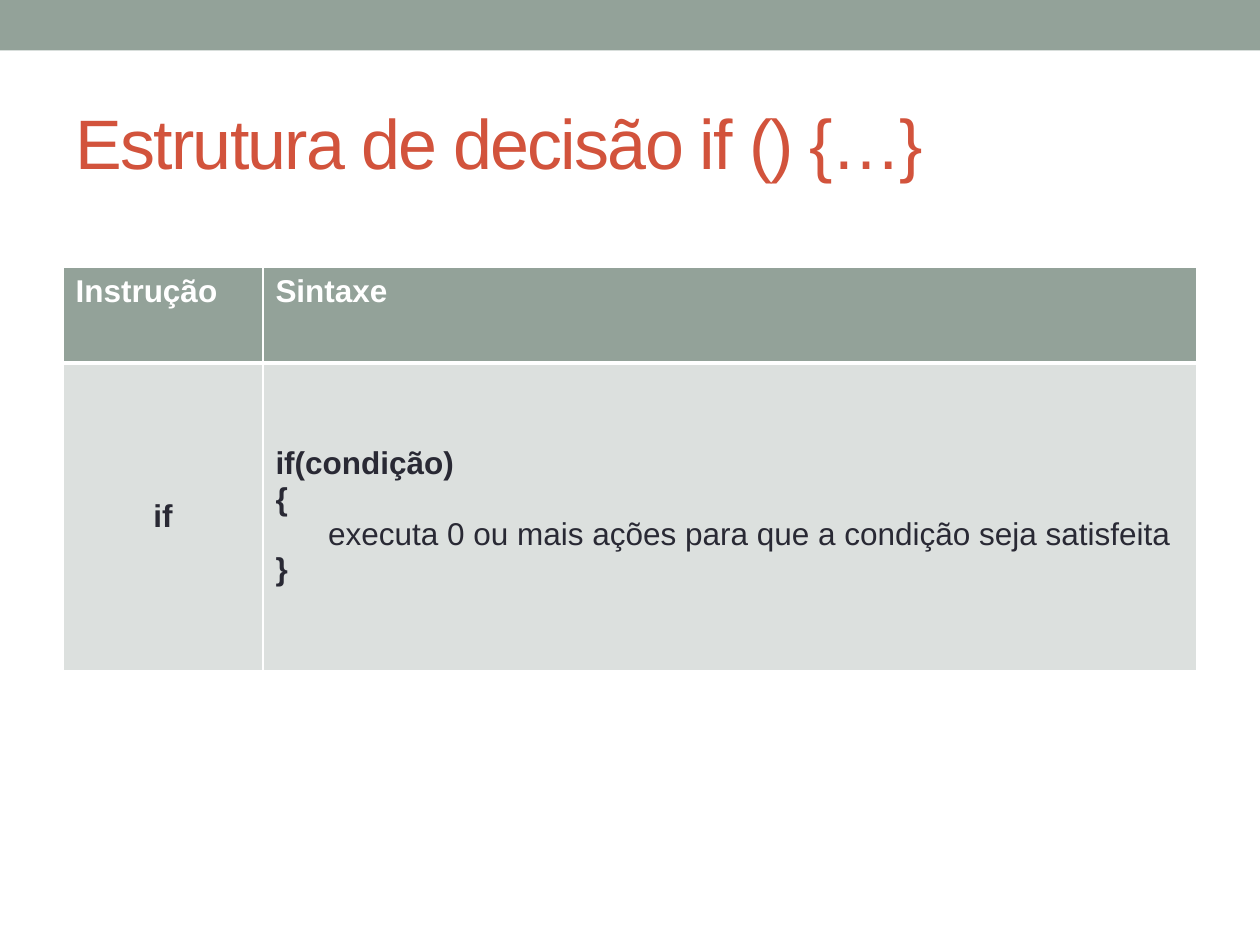
"""Builds the slide on the if decision structure."""
from lxml import etree
from pptx import Presentation
from pptx.dml.color import RGBColor
from pptx.enum.shapes import MSO_SHAPE
from pptx.enum.text import MSO_ANCHOR, PP_ALIGN
from pptx.oxml.ns import qn
from pptx.util import Cm, Pt

RECTANGLE = MSO_SHAPE.RECTANGLE
LEFT, CENTER = PP_ALIGN.LEFT, PP_ALIGN.CENTER
TOP, MIDDLE = MSO_ANCHOR.TOP, MSO_ANCHOR.MIDDLE

WHITE = RGBColor(0xFF, 0xFF, 0xFF)
SAGE = RGBColor(0x93, 0xA2, 0x99)
PALE_SAGE = RGBColor(0xDC, 0xE0, 0xDE)
RUST = RGBColor(0xD2, 0x53, 0x3C)
INK = RGBColor(0x29, 0x29, 0x34)


def write(paragraph, text, size=18, color=INK, bold=True, align=LEFT, spacing=0, indent=0):
    paragraph.alignment = align
    if indent:
        properties = paragraph._p.get_or_add_pPr()
        properties.set("marL", str(Cm(indent)))
        properties.set("indent", "0")
    run = paragraph.add_run()
    run.text = text
    run.font.name = "Arial"
    run.font.size = Pt(size)
    run.font.bold = bold
    run.font.color.rgb = color
    if spacing:
        run._r.get_or_add_rPr().set("spc", str(spacing * 100))


class SlideBuilder:
    def __init__(self, slide):
        self.slide = slide

    def band(self, left, top, width, height):
        band = self.slide.shapes.add_shape(RECTANGLE, Cm(left), Cm(top), Cm(width), Cm(height))
        band.shadow.inherit = False
        band.fill.solid()
        band.fill.fore_color.rgb = SAGE
        band.line.fill.background()

    def title(self, text, left, top, width, height):
        title = self.slide.shapes.title
        title.left, title.top, title.width, title.height = map(Cm, (left, top, width, height))
        title.text_frame.vertical_anchor = MIDDLE
        write(title.text_frame.paragraphs[0], text, size=40, color=RUST, bold=False, spacing=-1)

    def table(self, left, top, widths, heights):
        table = self.slide.shapes.add_table(
            len(heights), len(widths), Cm(left), Cm(top), Cm(sum(widths)), Cm(sum(heights))
        ).table
        table.horz_banding = False
        for column, width in zip(table.columns, widths):
            column.width = Cm(width)
        for row, height in zip(table.rows, heights):
            row.height = Cm(height)
        return table

    def cell(self, cell, lines, fill, anchor=TOP, top_border=1, bottom_border=1, **style):
        self.borders(cell, L=1, R=1, T=top_border, B=bottom_border)
        cell.fill.solid()
        cell.fill.fore_color.rgb = fill
        cell.vertical_anchor = anchor
        frame = cell.text_frame
        for number, (text, line_style) in enumerate(lines):
            paragraph = frame.add_paragraph() if number else frame.paragraphs[0]
            write(paragraph, text, **{**style, **line_style})

    def borders(self, cell, **widths):
        properties = cell._tc.get_or_add_tcPr()
        for side, width in widths.items():
            line = etree.SubElement(properties, qn(f"a:ln{side}"), w=str(Pt(width)))
            solid = etree.SubElement(line, qn("a:solidFill"))
            etree.SubElement(solid, qn("a:srgbClr"), val=str(WHITE))


def main():
    presentation = Presentation()
    presentation.slide_width, presentation.slide_height = Cm(25.4), Cm(19.05)
    builder = SlideBuilder(presentation.slides.add_slide(presentation.slide_layouts[5]))

    builder.band(0, 0, 25.4, 1.02)
    builder.title("Estrutura de decisão if () {…}", 1.27, 1.48, 22.86, 2.74)

    syntax = builder.table(1.27, 5.39, widths=(4.03, 18.83), heights=(1.93, 6.2))
    for column, heading in enumerate(("Instrução", "Sintaxe")):
        builder.cell(syntax.cell(0, column), [(heading, {})], SAGE, bottom_border=3, color=WHITE)

    if_syntax = [
        ("if(condição)", {}),
        ("{", {}),
        ("executa 0 ou mais ações para que a condição seja satisfeita",
         {"bold": False, "indent": 1.06}),
        ("}", {}),
    ]
    for column, lines in enumerate(([("if", {"align": CENTER})], if_syntax)):
        builder.cell(syntax.cell(1, column), lines, PALE_SAGE, anchor=MIDDLE, top_border=3)

    presentation.save("out.pptx")


if __name__ == "__main__":
    main()
